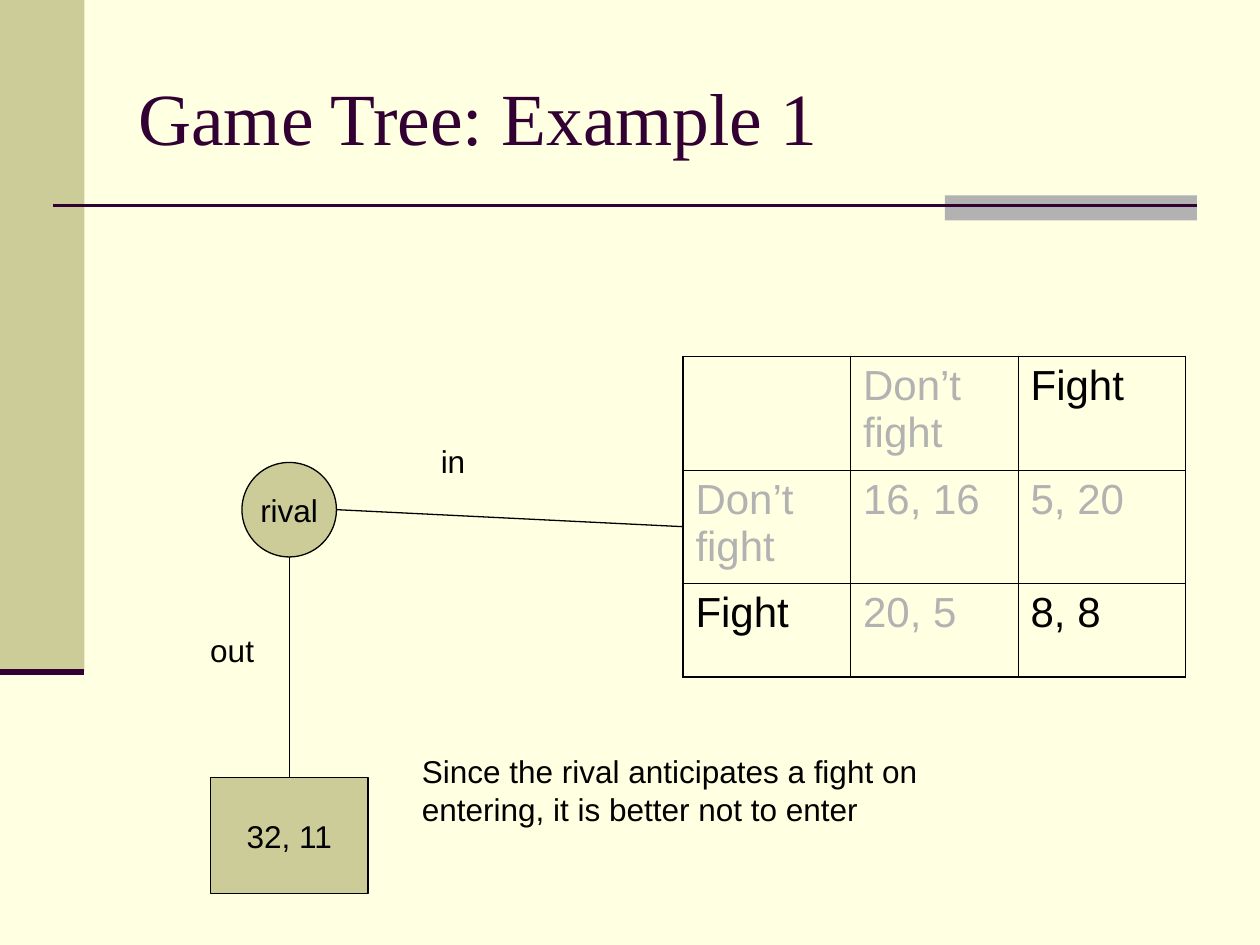
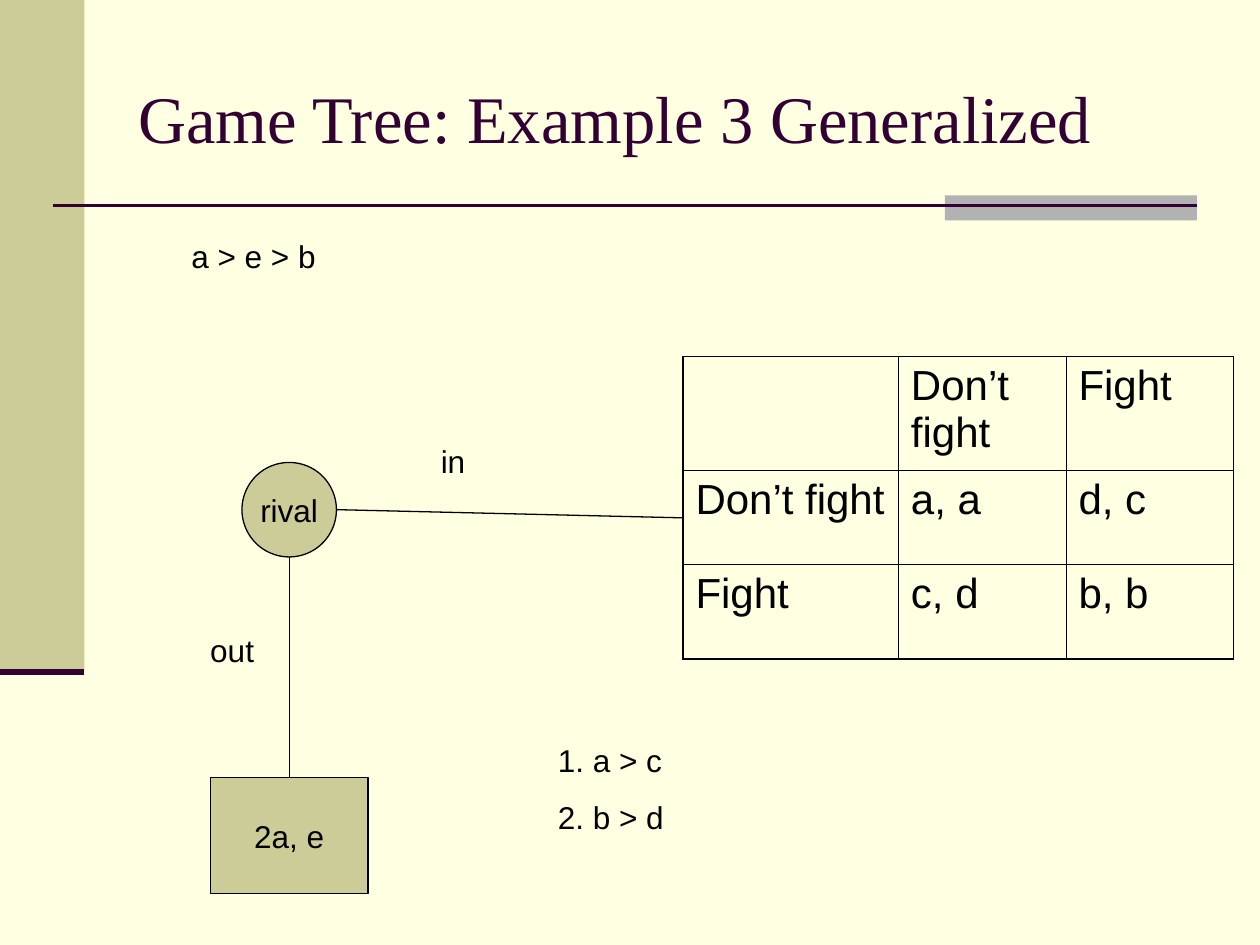
from lxml import etree
from pptx import Presentation
from pptx.dml.color import RGBColor
from pptx.enum.shapes import MSO_CONNECTOR, MSO_SHAPE
from pptx.enum.text import MSO_ANCHOR, PP_ALIGN
from pptx.oxml.ns import qn
from pptx.util import Inches, Pt

STRAIGHT = MSO_CONNECTOR.STRAIGHT
RECTANGLE, OVAL = MSO_SHAPE.RECTANGLE, MSO_SHAPE.OVAL
MIDDLE, TOP = MSO_ANCHOR.MIDDLE, MSO_ANCHOR.TOP
LEFT, CENTER = PP_ALIGN.LEFT, PP_ALIGN.CENTER

# Shared colours and fonts
CREAM, KHAKI, PLUM, GRAY, BLACK = "FFFFE1", "CCCC99", "330033", "B2B2B2", "000000"
BODY_FONT, TITLE_FONT = "Arial", "Times New Roman"
TOP_SIDE = 0
OUTER_BORDER, INNER_BORDER = Pt(1.08), Pt(0.45)


def color(hex_code):
    return RGBColor.from_string(hex_code)


class GameDeck:
    def __init__(self):
        self.deck = Presentation()
        self.deck.slide_width, self.deck.slide_height = Inches(10), Inches(7.5)
        self.page = None

    def new_page(self, title, title_size):
        """Start a page with the common background, bands and title."""
        self.page = self.deck.slides.add_slide(self.deck.slide_layouts[6])
        fill = self.page.background.fill
        fill.solid()
        fill.fore_color.rgb = color(CREAM)
        self.shape(RECTANGLE, 0, 0, 0.67, 5.33, KHAKI)
        self.shape(RECTANGLE, 7.5, 1.55, 2, 0.2, GRAY)
        self.line((0.42, 1.63), (9.5, 1.63), PLUM, 1.5)
        self.line((0, 5.33), (0.67, 5.33), PLUM, 3.5)
        self.text([title], 1, 0.3, 8.5, 1.25, size=title_size, font=TITLE_FONT,
                  ink=PLUM, anchor=MIDDLE)

    def style(self, para, size=18, font=BODY_FONT, ink=BLACK):
        para.font.size = Pt(size)
        para.font.name = font
        para.font.color.rgb = color(ink)

    def shape(self, kind, left, top, width, height, fill, outline=None):
        box = self.page.shapes.add_shape(
            kind, Inches(left), Inches(top), Inches(width), Inches(height))
        box.shadow.inherit = False
        box.fill.solid()
        box.fill.fore_color.rgb = color(fill)
        if outline:
            box.line.color.rgb = color(outline)
            box.line.width = Pt(0.75)
        else:
            box.line.fill.background()
        return box

    def node(self, kind, label, left, top, width, height):
        """A tree node: an outlined shape with a centred label."""
        box = self.shape(kind, left, top, width, height, KHAKI, BLACK)
        frame = box.text_frame
        frame.word_wrap = False
        frame.vertical_anchor = MIDDLE
        para = frame.paragraphs[0]
        para.text = label
        para.alignment = CENTER
        self.style(para)
        return box

    def line(self, start, end, ink=BLACK, width=0.75):
        points = [Inches(value) for value in (*start, *end)]
        connector = self.page.shapes.add_connector(STRAIGHT, *points)
        connector.line.color.rgb = color(ink)
        connector.line.width = Pt(width)
        etree.SubElement(connector._element.spPr, qn("a:effectLst"))
        return connector

    def text(self, lines, left, top, width, height, size=18, font=BODY_FONT,
             ink=BLACK, anchor=TOP, space=0):
        box = self.page.shapes.add_textbox(
            Inches(left), Inches(top), Inches(width), Inches(height))
        frame = box.text_frame
        frame.word_wrap = True
        frame.vertical_anchor = anchor
        for index, content in enumerate(lines):
            para = frame.add_paragraph() if index else frame.paragraphs[0]
            para.text = content
            para.alignment = LEFT
            para.space_before = Pt(space)
            self.style(para, size, font, ink)

    def border(self, cell, side, width):
        edge = etree.SubElement(cell._tc.get_or_add_tcPr(), qn("a:ln" + side), w=str(width))
        fill = etree.SubElement(edge, qn("a:solidFill"))
        etree.SubElement(fill, qn("a:srgbClr"), val=BLACK)

    def payoff_table(self, rows, widths, heights, faded=None):
        """A payoff matrix; the strategy at index `faded` is grayed out."""
        table = self.page.shapes.add_table(
            len(rows), len(widths), Inches(5.42), Inches(2.83),
            Inches(sum(widths)), Inches(sum(heights))).table
        table.first_row = table.horz_banding = False
        for column, width in zip(table.columns, widths):
            column.width = Inches(width)
        for row, height in zip(table.rows, heights):
            row.height = Inches(height)
        last_row, last_column = len(rows) - 1, len(widths) - 1
        for r, row in enumerate(rows):
            for c, content in enumerate(row):
                cell = table.cell(r, c)
                outer_sides = {"L": c == 0, "R": c == last_column,
                               "T": r == 0, "B": r == last_row}
                for side, outer in outer_sides.items():
                    self.border(cell, side, OUTER_BORDER if outer else INNER_BORDER)
                cell.fill.background()
                para = cell.text_frame.paragraphs[0]
                para.text = content
                para.space_before = Pt(6)
                self.style(para, 24, ink=GRAY if faded in (r, c) else BLACK)

    def game_tree(self, out_payoff, table_middle):
        """The rival's choice: in leads to the table, out to a payoff."""
        rival_left, rival_top, rival_size = 1.92, 3.67, 0.75
        center = rival_left + rival_size / 2
        payoff_width, payoff_top = 1.25, 6.17
        self.node(OVAL, "rival", rival_left, rival_top, rival_size, rival_size)
        self.line((rival_left + rival_size, rival_top + rival_size / 2),
                  (5.42, table_middle))
        payoff = self.node(RECTANGLE, out_payoff, center - payoff_width / 2,
                           payoff_top, payoff_width, 0.92)
        branch = self.line((center, rival_top + rival_size), (center, payoff_top))
        branch.end_connect(payoff, TOP_SIDE)
        self.text(["out"], 1.57, 4.96, 0.65, 0.4)
        self.text(["in"], 3.4, 3.46, 0.5, 0.4)

    def note(self, lines, left, top, width, height):
        self.text(lines, left, top, width, height, space=11.2)


def main():
    game = GameDeck()

    # Example with numbers
    game.new_page("Game Tree: Example 1", 42)
    game.payoff_table([["", "Don’t fight", "Fight"],
                       ["Don’t fight", "16, 16", "5, 20"],
                       ["Fight", "20, 5", "8, 8"]],
                      [1.33, 1.33, 1.33], [0.9, 0.9, 0.74], faded=1)
    game.game_tree("32, 11", 4.18)
    game.note(["Since the rival anticipates a fight on entering, "
               "it is better not to enter"], 3.25, 5.92, 5.17, 0.7)

    # General case
    game.new_page("Game Tree: Example 3 Generalized", 38)
    game.payoff_table([["", "Don’t fight", "Fight"],
                       ["Don’t fight", "a, a", "d, c"],
                       ["Fight", "c, d", "b, b"]],
                      [1.71, 1.33, 1.33], [0.9, 0.75, 0.75])
    game.game_tree("2a, e", 4.11)
    game.note(["a > e > b"], 1.42, 1.83, 3.92, 0.4)
    game.note(["1. a > c", "2. b > d"], 4.33, 5.83, 3.17, 0.86)

    game.deck.save("out.pptx")


if __name__ == "__main__":
    main()
